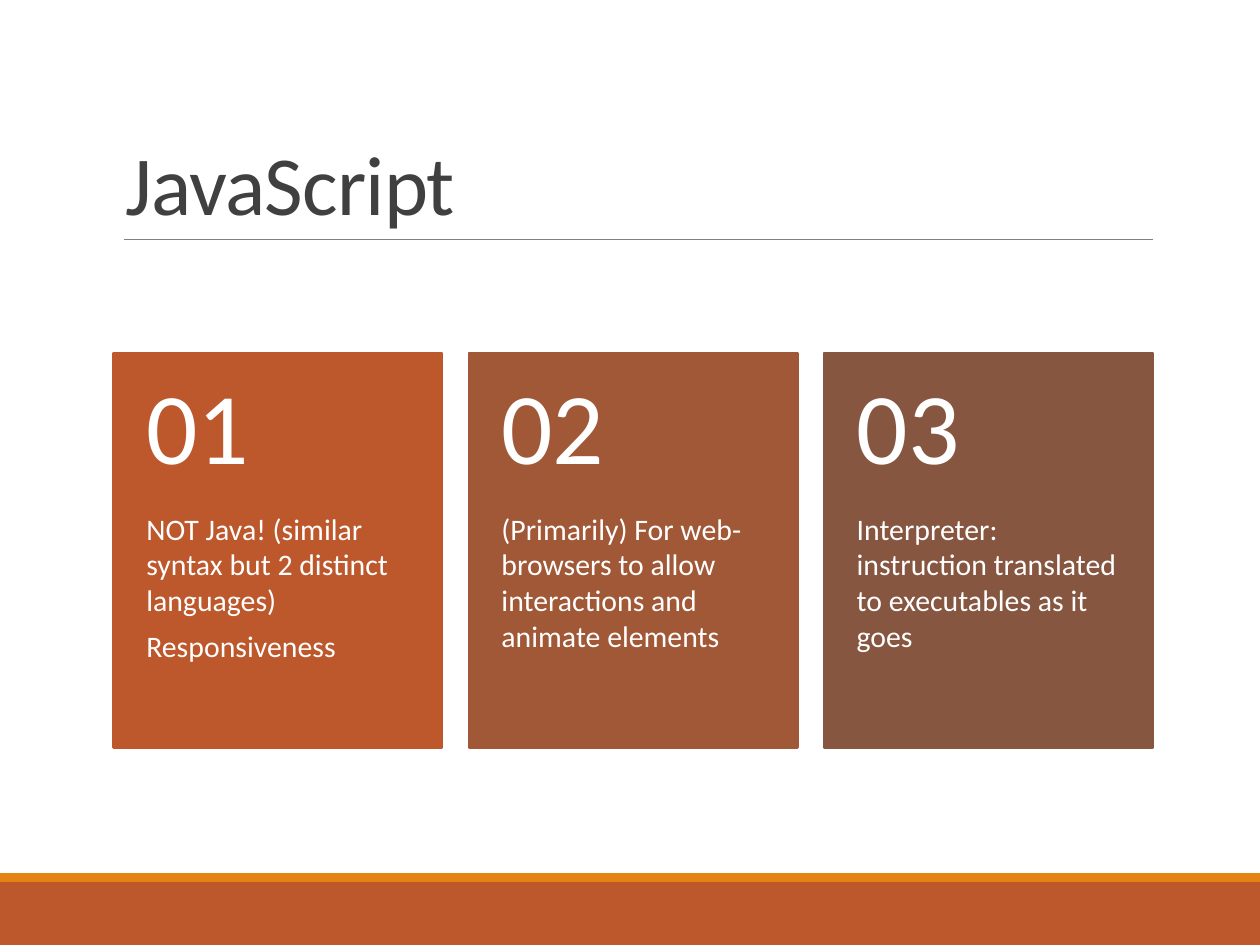
import pptx
import pptx.util
import pptx.dml.color
import pptx.enum.shapes
import pptx.enum.text
import pptx.oxml.ns
import lxml.etree

Cm, Pt = pptx.util.Cm, pptx.util.Pt
RGB = pptx.dml.color.RGBColor.from_string
Anchor = pptx.enum.text.MSO_ANCHOR
hues = {"rust": "BD582C", "clay": "A05837", "brown": "865640",
        "gold": "E48312", "gray": "808080", "dark": "404040", "white": "FFFFFF"}

deck = pptx.Presentation()
deck.slide_width, deck.slide_height = Cm(25.4), Cm(19.05)
slide = deck.slides.add_slide(deck.slide_layouts[6])


def add_rect(shapes, left, top, width, height, hue, edge=None):
    rect = shapes.add_shape(pptx.enum.shapes.MSO_SHAPE.RECTANGLE,
                            Cm(left), Cm(top), Cm(width), Cm(height))
    rect.shadow.inherit = False
    rect.fill.solid()
    rect.fill.fore_color.rgb = RGB(hues[hue])
    if edge:
        rect.line.color.rgb = RGB(hues[hue])
        rect.line.width = Pt(edge)
    else:
        rect.line.fill.background()


def add_text(shapes, box, lines, size, hue, anchor, pads, pitch=1, after=0):
    frame = shapes.add_textbox(*[Cm(n) for n in box]).text_frame
    frame.word_wrap = True
    frame.vertical_anchor = anchor
    (frame.margin_left, frame.margin_top,
     frame.margin_right, frame.margin_bottom) = [Cm(n) for n in pads]
    for i, line in enumerate(lines):
        para = frame.add_paragraph() if i else frame.paragraphs[0]
        para.line_spacing = pitch
        para.space_after = Pt(after)
        run = para.add_run()
        run.text = line
        run.font.name = "Calibri"
        run.font.size = Pt(size)
        run.font.color.rgb = RGB(hues[hue])
    return frame


# Footer bands
add_rect(slide.shapes, 0, 17.78, 25.4, 1.27, "rust")
add_rect(slide.shapes, 0, 17.6, 25.4, 0.18, "gold")

# Title and rule below it
rule = slide.shapes.add_connector(pptx.enum.shapes.MSO_CONNECTOR.STRAIGHT,
                                  Cm(2.49), Cm(4.83), Cm(23.24), Cm(4.83))
rule.line.color.rgb = RGB(hues["gray"])
rule.line.width = Pt(0.5)
lxml.etree.SubElement(rule._element.spPr, pptx.oxml.ns.qn("a:effectLst"))

title = add_text(slide.shapes, (2.29, 0.79, 20.95, 4.04), ["JavaScript"], 48,
                 "dark", Anchor.BOTTOM, (0.25, 0.13, 0.25, 0.13), 0.85)
title.paragraphs[0].runs[0].font._element.set("spc", "-50")

# Numbered cards
cards = [
    ("rust", ["NOT Java! (similar syntax but 2 distinct languages)", "Responsiveness"]),
    ("clay", ["(Primarily) For web-browsers to allow interactions and animate elements"]),
    ("brown", ["Interpreter: instruction translated to executables as it goes"]),
]
top, wide, head, body = 7.11, 6.63, 3.18, 4.78
group = slide.shapes.add_group_shape().shapes
for i, (hue, lines) in enumerate(cards):
    left = 2.29 + i * 7.16
    add_rect(group, left, top, wide, head + body, hue, 1.25)
    add_text(group, (left, top + head, wide, body), lines, 17, "white",
             Anchor.TOP, (0.66, 0, 0.66, 0.91), after=6)
    add_text(group, (left, top, wide, head), [f"{i + 1:02}"], 58, "white",
             Anchor.MIDDLE, (0.66, 0.46, 0.66, 0.46), 0.9)

deck.save("out.pptx")
